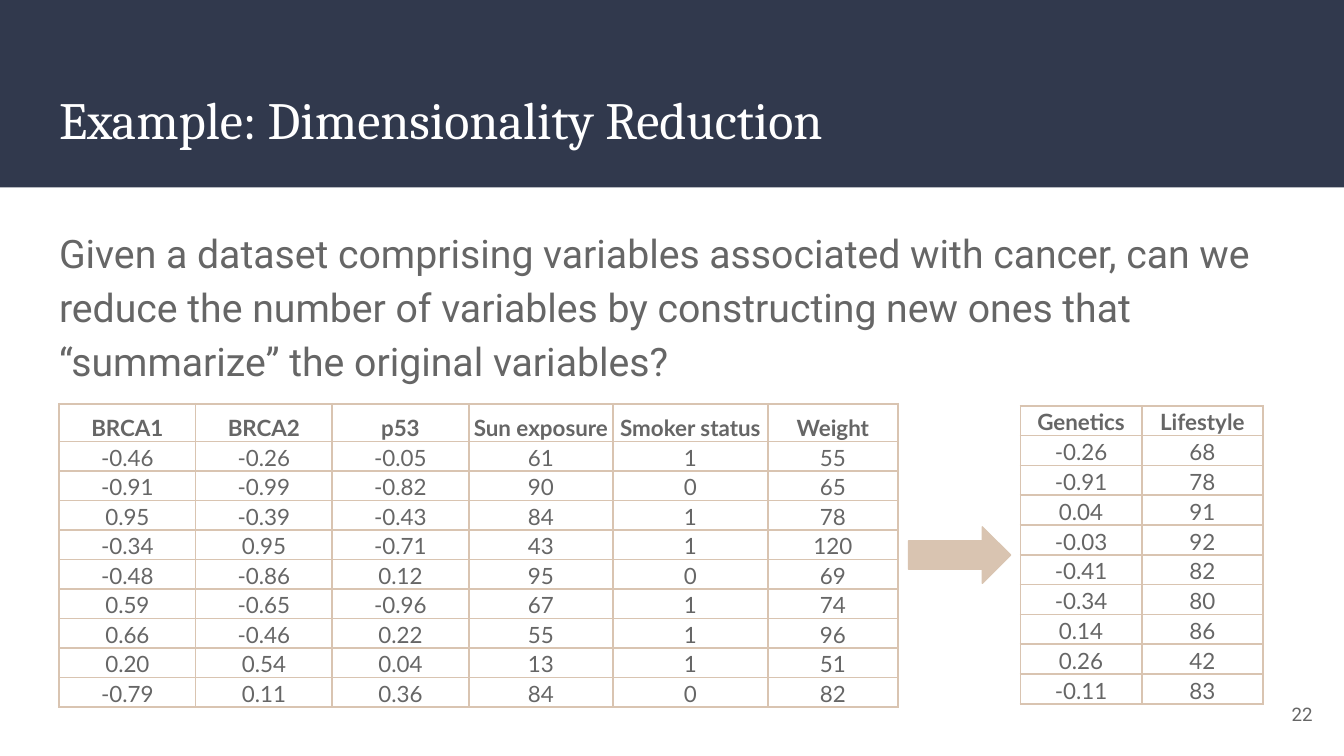
from dataclasses import dataclass

from lxml.etree import SubElement
from pptx import Presentation
from pptx.dml.color import RGBColor
from pptx.enum.shapes import MSO_SHAPE
from pptx.enum.text import MSO_ANCHOR, PP_ALIGN
from pptx.oxml.ns import qn
from pptx.util import Inches, Pt

SLIDE_WIDTH = Inches(10)
SLIDE_HEIGHT = SLIDE_WIDTH * 9 // 16
GRID_STEP = SLIDE_WIDTH // 100
NAVY, SAND, GRAY, WHITE = "31394D", "D9C4B1", "666666", "FFFFFF"


@dataclass(frozen=True)
class Area:
    """A rectangle in columns and rows of the slide grid."""

    column: float
    row: float
    columns: float
    rows: float

    def lengths(self) -> list[int]:
        """Return left, top, width and height."""
        return [grid(value) for value in (self.column, self.row, self.columns, self.rows)]


@dataclass(frozen=True)
class Style:
    """The look of a piece of text."""

    font: str
    size: float
    color: str = GRAY
    bold: bool = False
    alignment: PP_ALIGN = PP_ALIGN.LEFT
    line_spacing: float = 1.0


@dataclass(frozen=True)
class TextBlock:
    """A text box with one paragraph."""

    area: Area
    text: str
    style: Style
    anchor: MSO_ANCHOR = MSO_ANCHOR.TOP


@dataclass(frozen=True)
class DataTable:
    """A table with its place, column widths, row heights and rows of text."""

    column: float
    row: float
    widths: list[float]
    header_height: float
    row_height: float
    lines: list[str]


@dataclass(frozen=True)
class Block:
    """A filled preset shape, with or without an outline."""

    kind: MSO_SHAPE
    area: Area
    color: str
    outlined: bool


HEADER_STYLE = Style("Lato", 12, bold=True, alignment=PP_ALIGN.CENTER)
VALUE_STYLE = Style("Lato", 12, alignment=PP_ALIGN.CENTER)

BANNER = Block(MSO_SHAPE.RECTANGLE, Area(0, 0, 100, 13.95), NAVY, False)
ARROW = Block(MSO_SHAPE.RIGHT_ARROW, Area(67.6, 39.2, 7.6, 4.2), SAND, True)

TEXT_BLOCKS = [
    TextBlock(Area(3.41, 5.5, 93.2, 6.8), "Example: Dimensionality Reduction",
              Style("Cambria", 28, WHITE)),
    TextBlock(Area(3.41, 15.55, 95.9, 33.6),
              "Given a dataset comprising variables associated with cancer, can we reduce "
              "the number of variables by constructing new ones that “summarize” the "
              "original variables?",
              Style("Roboto", 21, line_spacing=1.15)),
    TextBlock(Area(92.65, 51, 6, 4.3), "22",
              Style("Roboto", 10, alignment=PP_ALIGN.RIGHT), MSO_ANCHOR.MIDDLE),
]

TABLES = [
    DataTable(4.4, 30.04, [10.16, 10.16, 10.16, 10.75, 11.5, 9.7], 2.8, 2.2, [
        "BRCA1|BRCA2|p53|Sun exposure|Smoker status|Weight",
        "-0.46|-0.26|-0.05|61|1|55",
        "-0.91|-0.99|-0.82|90|0|65",
        "0.95|-0.39|-0.43|84|1|78",
        "-0.34|0.95|-0.71|43|1|120",
        "-0.48|-0.86|0.12|95|0|69",
        "0.59|-0.65|-0.96|67|1|74",
        "0.66|-0.46|0.22|55|1|96",
        "0.20|0.54|0.04|13|1|51",
        "-0.79|0.11|0.36|84|0|82",
    ]),
    DataTable(75.92, 30.2, [9.03, 9.03], 2.22, 2.22, [
        "Genetics|Lifestyle", "-0.26|68", "-0.91|78", "0.04|91", "-0.03|92",
        "-0.41|82", "-0.34|80", "0.14|86", "0.26|42", "-0.11|83",
    ]),
]


def grid(count: float) -> int:
    """Turn a number of grid steps into a length."""
    return round(count * GRID_STEP)


def rgb(color: str) -> RGBColor:
    """Turn a hex string into a colour."""
    return RGBColor.from_string(color)


def write(text_frame, text: str, style: Style) -> None:
    """Put one styled paragraph into a text frame."""
    text_frame.text = text
    paragraph = text_frame.paragraphs[0]
    paragraph.alignment = style.alignment
    paragraph.line_spacing = style.line_spacing
    font = paragraph.runs[0].font
    font.name, font.size, font.bold = style.font, Pt(style.size), style.bold
    font.color.rgb = rgb(style.color)


def draw_block(slide, block: Block) -> None:
    """Draw a preset shape in one colour."""
    shape = slide.shapes.add_shape(block.kind, *block.area.lengths())
    shape.shadow.inherit = False
    shape.fill.solid()
    shape.fill.fore_color.rgb = rgb(block.color)
    if block.outlined:
        shape.line.color.rgb = rgb(block.color)
        shape.line.width = Pt(0.75)
    else:
        shape.line.fill.background()


def draw_text(slide, block: TextBlock) -> None:
    """Draw a wrapping text box."""
    text_frame = slide.shapes.add_textbox(*block.area.lengths()).text_frame
    text_frame.word_wrap = True
    text_frame.vertical_anchor = block.anchor
    text_frame.margin_left = text_frame.margin_right = Inches(0.1)
    text_frame.margin_top = text_frame.margin_bottom = Inches(0.1)
    write(text_frame, block.text, block.style)


def add_borders(cell, color: str) -> None:
    """Give a cell a thin line on all four sides."""
    properties = cell._tc.get_or_add_tcPr()
    for side in ("a:lnL", "a:lnR", "a:lnT", "a:lnB"):
        line = SubElement(properties, qn(side), w=str(Pt(1)))
        fill = SubElement(line, qn("a:solidFill"))
        SubElement(fill, qn("a:srgbClr"), val=color)


def draw_table(slide, data: DataTable) -> None:
    """Draw a bordered table with a bold header row."""
    rows = [line.split("|") for line in data.lines]
    heights = [data.header_height] + [data.row_height] * (len(rows) - 1)
    area = Area(data.column, data.row, sum(data.widths), sum(heights))
    table = slide.shapes.add_table(len(rows), len(data.widths), *area.lengths()).table
    for column, width in zip(table.columns, data.widths):
        column.width = grid(width)
    for row_index, (row, height) in enumerate(zip(table.rows, heights)):
        row.height = grid(height)
        for cell, text in zip(row.cells, rows[row_index]):
            cell.margin_left = cell.margin_right = cell.margin_top = Inches(0.01)
            cell.margin_bottom = 0
            cell.vertical_anchor = MSO_ANCHOR.BOTTOM
            add_borders(cell, SAND)
            cell.fill.solid()
            cell.fill.fore_color.rgb = rgb(WHITE)
            write(cell.text_frame, text, VALUE_STYLE if row_index else HEADER_STYLE)


def main() -> None:
    """Build the slide and save it."""
    presentation = Presentation()
    presentation.slide_width, presentation.slide_height = SLIDE_WIDTH, SLIDE_HEIGHT
    slide = presentation.slides.add_slide(presentation.slide_layouts[6])
    draw_block(slide, BANNER)
    for text_block in TEXT_BLOCKS:
        draw_text(slide, text_block)
    for data in TABLES:
        draw_table(slide, data)
    draw_block(slide, ARROW)
    presentation.save("out.pptx")


if __name__ == "__main__":
    main()
